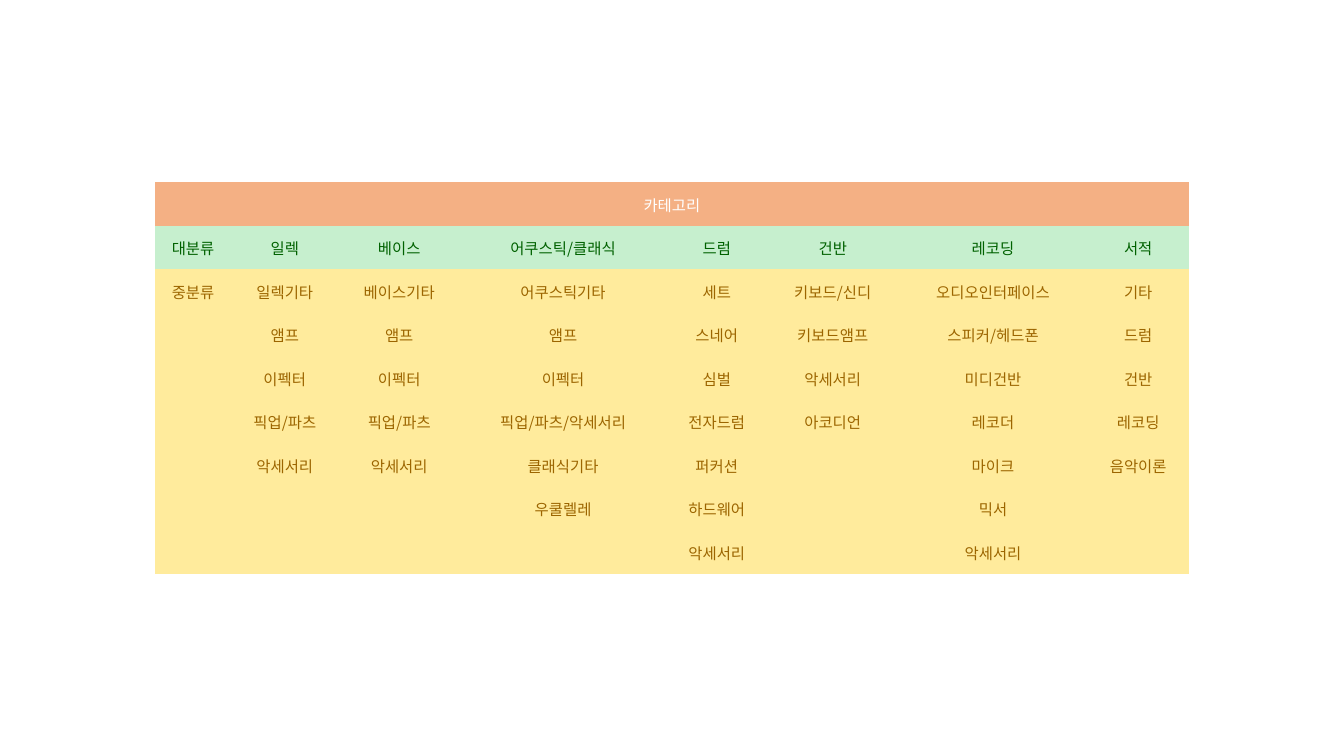
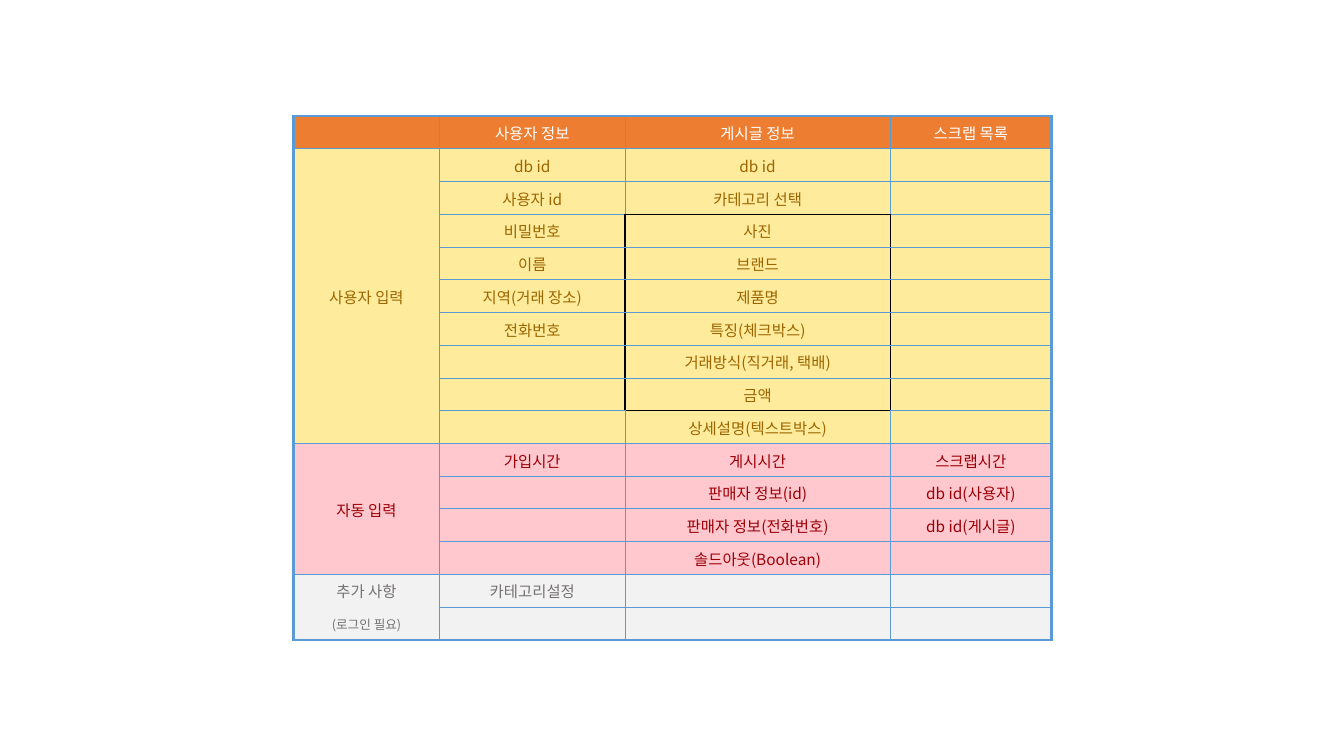
from lxml import etree
from pptx import Presentation
from pptx.dml.color import RGBColor
from pptx.enum.text import MSO_ANCHOR, PP_ALIGN
from pptx.oxml.ns import qn
from pptx.util import Inches, Pt

CENTER = PP_ALIGN.CENTER
MIDDLE = MSO_ANCHOR.MIDDLE
BLANK_LAYOUT = 6
PLAIN_TABLE_STYLE = "{2D5ABB26-0587-4C30-8999-92F81FD0307C}"

HEADING = ("F4B084", "FFFFFF")
MAJOR = ("C6EFCE", "006100")
YELLOW = ("FFEB9C", "9C6500")
FIELDS = ("ED7D31", "FFFFFF")
PINK = ("FFC7CE", "9C0006")
GREY = ("F2F2F2", "757171")
GRID = "5B9BD5"
BOX = "000000"

CATEGORIES = [
    ("대분류", 0.75, ["중분류"]),
    ("일렉", 1.07, ["일렉기타", "앰프", "이펙터", "픽업/파츠", "악세서리"]),
    ("베이스", 1.2, ["베이스기타", "앰프", "이펙터", "픽업/파츠", "악세서리"]),
    ("어쿠스틱/클래식", 2.05,
     ["어쿠스틱기타", "앰프", "이펙터", "픽업/파츠/악세서리", "클래식기타", "우쿨렐레"]),
    ("드럼", 1, ["세트", "스네어", "심벌", "전자드럼", "퍼커션", "하드웨어", "악세서리"]),
    ("건반", 1.3, ["키보드/신디", "키보드앰프", "악세서리", "아코디언"]),
    ("레코딩", 1.88,
     ["오디오인터페이스", "스피커/헤드폰", "미디건반", "레코더", "마이크", "믹서", "악세서리"]),
    ("서적", 1, ["기타", "드럼", "건반", "레코딩", "음악이론"]),
]

INPUT_GROUPS = [
    (FIELDS, [["", "사용자 정보", "게시글 정보", "스크랩 목록"]]),
    (YELLOW, [
        ["사용자 입력", "db id", "db id", ""],
        ["", "사용자 id", "카테고리 선택", ""],
        ["", "비밀번호", "사진", ""],
        ["", "이름", "브랜드", ""],
        ["", "지역(거래 장소)", "제품명", ""],
        ["", "전화번호", "특징(체크박스)", ""],
        ["", "", "거래방식(직거래, 택배)", ""],
        ["", "", "금액", ""],
        ["", "", "상세설명(텍스트박스)", ""],
    ]),
    (PINK, [
        ["자동 입력", "가입시간", "게시시간", "스크랩시간"],
        ["", "", "판매자 정보(id)", "db id(사용자)"],
        ["", "", "판매자 정보(전화번호)", "db id(게시글)"],
        ["", "", "솔드아웃(Boolean)", ""],
    ]),
    (GREY, [
        ["추가 사항", "카테고리설정", "", ""],
        ["(로그인 필요)", "", "", ""],
    ]),
]


def rgb(value):
    return RGBColor.from_string(value)


class Deck:
    font = "Noto Sans CJK KR"
    size = 11
    inset = 0.01

    def __init__(self):
        self.presentation = Presentation()
        self.presentation.slide_width = Inches(13.33)
        self.presentation.slide_height = Inches(7.5)

    def add_slide(self):
        layout = self.presentation.slide_layouts[BLANK_LAYOUT]
        self.slide = self.presentation.slides.add_slide(layout)

    def add_table(self, left, top, widths, height, row_count):
        frame = self.slide.shapes.add_table(
            row_count, len(widths), Inches(left), Inches(top),
            Inches(sum(widths)), Inches(height))
        frame.element.find(".//" + qn("a:tableStyleId")).text = PLAIN_TABLE_STYLE
        table = frame.table
        table.first_row = table.horz_banding = False
        for column, width in zip(table.columns, widths):
            column.width = Inches(width)
        for row in table.rows:
            row.height = Inches(height / row_count)
        return table

    def fill_cell(self, cell, text, look, size=None):
        fill, ink = look
        points = size or self.size
        cell.fill.solid()
        cell.fill.fore_color.rgb = rgb(fill)
        cell.vertical_anchor = MIDDLE
        cell.margin_left = cell.margin_top = cell.margin_right = Inches(self.inset)
        cell.margin_bottom = 0
        paragraph = cell.text_frame.paragraphs[0]
        paragraph.alignment = CENTER
        if not text:
            etree.SubElement(paragraph._p, qn("a:endParaRPr"), sz=str(points * 100))
            return
        run = paragraph.add_run()
        run.text = text
        run.font.name = self.font
        run.font.size = Pt(points)
        run.font.color.rgb = rgb(ink)
        etree.SubElement(run.font._element, qn("a:ea"), typeface=self.font)

    def border_cell(self, cell, edges):
        properties = cell._tc.get_or_add_tcPr()
        for position, (side, (color, width)) in enumerate(zip("LRTB", edges)):
            line = etree.Element(qn(f"a:ln{side}"), w=str(Pt(width)))
            if width:
                solid = etree.SubElement(line, qn("a:solidFill"))
                etree.SubElement(solid, qn("a:srgbClr"), val=color)
            else:
                etree.SubElement(line, qn("a:noFill"))
            properties.insert(position, line)

    def save(self):
        self.presentation.save("out.pptx")


def vertical_edge(row, edge):
    if 3 <= row <= 8 and edge in (2, 3):
        return BOX, 1
    return GRID, (2, 1.5, 0.5, 0.5, 2)[edge]


def horizontal_edge(edge, column, row_count):
    if column == 2 and edge in (3, 9):
        return BOX, 1
    if column == 0 and edge == row_count - 1:
        return GRID, 0
    return GRID, 2 if edge in (0, row_count) else 0.5


def build_categories(deck):
    deck.add_slide()
    widths = [width for _, width, _ in CATEGORIES]
    row_count = 2 + max(len(items) for _, _, items in CATEGORIES)
    table = deck.add_table(1.54, 1.81, widths, 3.88, row_count)
    for column, (major, _, items) in enumerate(CATEGORIES):
        deck.fill_cell(table.cell(0, column), "" if column else "카테고리", HEADING)
        deck.fill_cell(table.cell(1, column), major, MAJOR)
        for row in range(2, row_count):
            text = items[row - 2] if row - 2 < len(items) else ""
            deck.fill_cell(table.cell(row, column), text, YELLOW)
    table.cell(0, 0).merge(table.cell(0, len(widths) - 1))


def build_inputs(deck):
    deck.add_slide()
    rows = [(look, texts) for look, group in INPUT_GROUPS for texts in group]
    row_count = len(rows)
    table = deck.add_table(2.91, 1.15, [1.45, 1.84, 2.63, 1.6], 5.2, row_count)
    for row, (look, texts) in enumerate(rows):
        for column, text in enumerate(texts):
            cell = table.cell(row, column)
            is_note = column == 0 and row == row_count - 1
            deck.fill_cell(cell, text, look, 9 if is_note else None)
            deck.border_cell(cell, [
                vertical_edge(row, column),
                vertical_edge(row, column + 1),
                horizontal_edge(row, column, row_count),
                horizontal_edge(row + 1, column, row_count),
            ])
    first = 0
    for look, group in INPUT_GROUPS:
        if look in (YELLOW, PINK):
            table.cell(first, 0).merge(table.cell(first + len(group) - 1, 0))
        first += len(group)


def main():
    deck = Deck()
    build_categories(deck)
    build_inputs(deck)
    deck.save()


if __name__ == "__main__":
    main()
